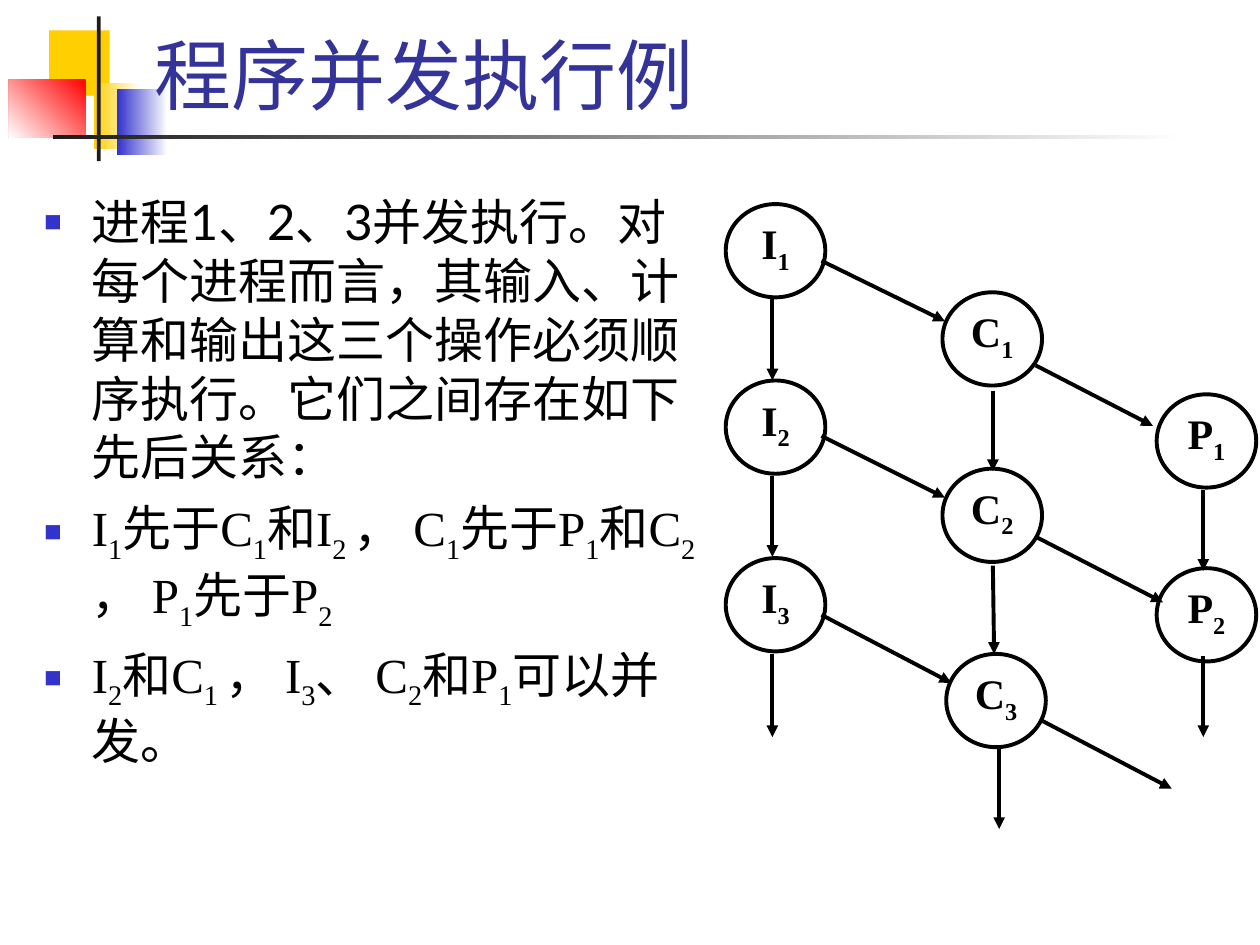
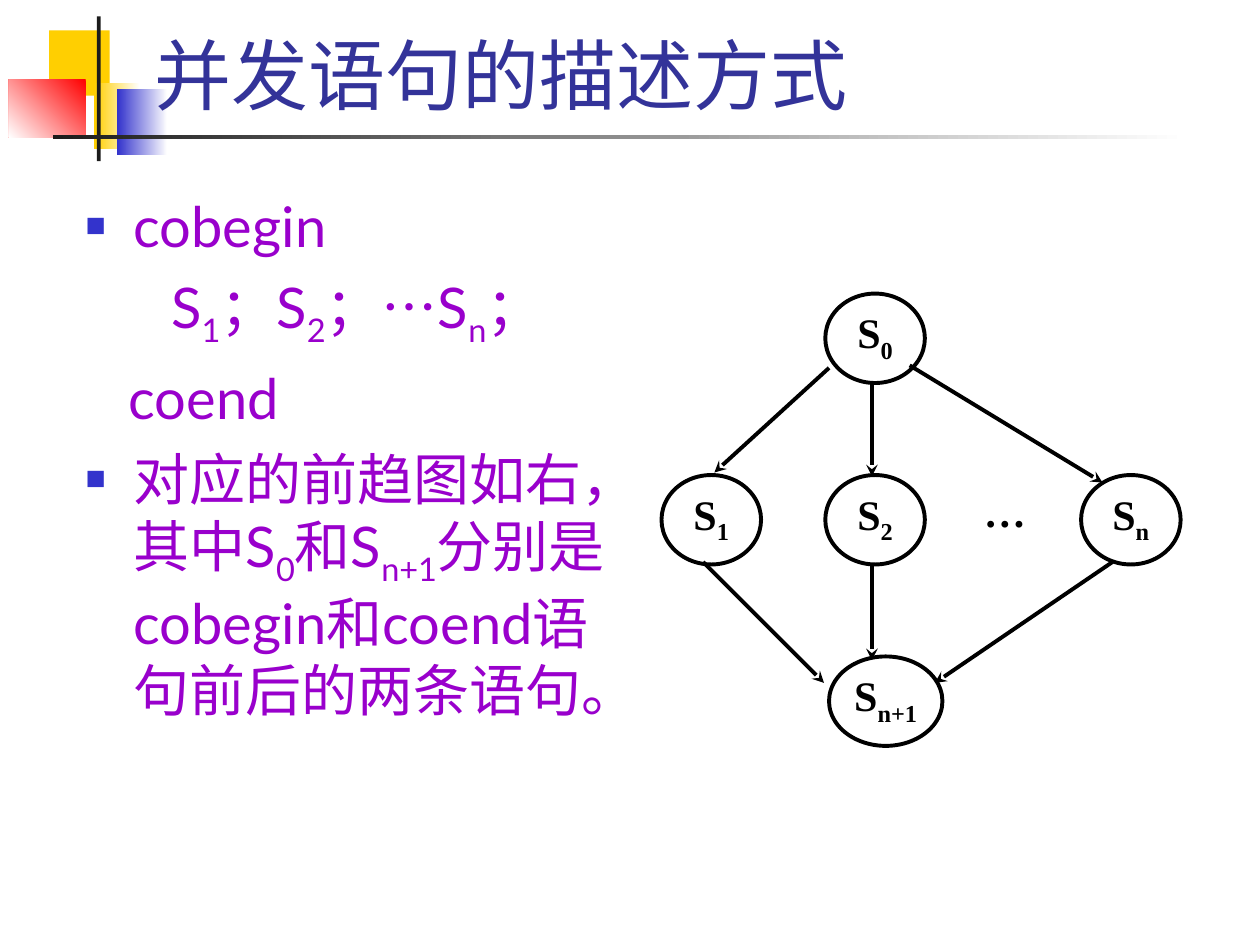
"""Build two slides on concurrent execution and precedence graphs."""
from pptx import Presentation
from pptx.dml.color import RGBColor
from pptx.enum.lang import MSO_LANGUAGE_ID
from pptx.enum.shapes import MSO_CONNECTOR, MSO_SHAPE
from pptx.enum.text import MSO_ANCHOR, MSO_AUTO_SIZE, PP_ALIGN
from pptx.oxml.ns import qn
from pptx.util import Inches, Pt
from lxml.etree import SubElement

COLORS = {"title": "333399", "text": "000000", "purple": "9900CC", "bullet": "3333CC",
          "white": "FFFFFF", "yellow": "FFCF01", "blue": "3333CC", "red": "FF0000",
          "dark": "1C1C1C"}
SANS, SERIF = "Lato", "Times New Roman"

BANDS = [
    ((0.39, 0.24, 0.48, 0.52), ["yellow"], 0),
    ((0.75, 0.66, 0.36, 0.52), ["white", "yellow"], 180),
    ((0.93, 0.71, 0.4, 0.52), ["white", "blue"], 180),
    ((0.07, 0.63, 0.61, 0.46), ["red", "white"], 225),
    ((0.77, 0.13, 0.03, 1.15), ["dark"], 0),
    ((0.42, 1.07, 9, 0.03), ["white", "dark"], 180),
]
TITLE_BOX = (1.13, 0.14, 8.52, 0.86)
NODE_W = 0.79
I_X, C_X, P_X = 6.13, 7.88, 9.55
S_X = 6.92

SLIDES = [
    {
        "title": "程序并发执行例",
        "body_box": (0.25, 1.47, 5.38, 5.67),
        "body": {"size": 28, "color": "text", "before": 7},
        "lines": [
            ("进程1、2、3并发执行。对每个进程而言，其输入、计算和输出这三个操作必须顺序执行。"
             "它们之间存在如下先后关系：", SANS, None),
            ("I{1}先于C{1}和I{2 }， C{1}先于P{1}和C{2 }， P{1}先于P{2}", SERIF, None),
            ("I{2}和C{1 }， I{3}、 C{2}和P{1}可以并发。", SERIF, None),
        ],
        "node_h": 0.74,
        "nodes": [("I{1}", 5.76, 1.62), ("I{2}", 5.76, 3.02), ("I{3}", 5.76, 4.43),
                  ("C{1}", 7.48, 2.32), ("C{2}", 7.48, 3.72), ("C{3}", 7.51, 5.19),
                  ("P{1}", 9.18, 3.13), ("P{2}", 9.18, 4.51)],
        "head": "triangle",
        "arrows": [
            (6.52, 2.07, 7.5, 2.55), (6.52, 3.46, 7.5, 3.95), (6.52, 4.88, 7.55, 5.42),
            (I_X, 2.37, I_X, 3.02), (I_X, 3.78, I_X, 4.42), (I_X, 5.19, I_X, 5.85),
            (C_X, 3.1, C_X, 3.74), (C_X, 4.49, 7.89, 5.19), (7.93, 5.94, 7.93, 6.58),
            (8.22, 2.9, 9.15, 3.38), (8.22, 4.26, 9.23, 4.78), (8.27, 5.72, 9.3, 6.26),
            (P_X, 3.89, P_X, 4.53), (P_X, 5.21, P_X, 5.85),
        ],
    },
    {
        "title": "并发语句的描述方式",
        "body_box": (0.58, 1.47, 4.37, 5.12),
        "body": {"size": 32, "color": "purple", "before": 8},
        "lines": [
            ("cobegin", SANS, None),
            ("S{1}；S{2}；…S{n}；", SANS, 0.68),
            ("coend", SANS, 0.34),
            ("对应的前趋图如右，其中S{0}和S{n+1}分别是cobegin和coend语句前后的两条语句。",
             SANS, None),
        ],
        "node_h": 0.71,
        "nodes": [("S{0}", 6.55, 2.33), ("S{1}", 5.25, 3.77), ("S{2}", 6.55, 3.77),
                  ("…", 7.58, 3.75), ("S{n}", 8.58, 3.77), ("S{n+1}", 6.58, 5.21, 0.9)],
        "head": "stealth",
        "arrows": [
            (7.22, 2.9, 8.75, 3.83), (6.58, 2.92, 5.67, 3.75), (S_X, 3.05, S_X, 3.78),
            (5.58, 4.46, 6.54, 5.42), (S_X, 4.47, S_X, 5.24), (8.83, 4.46, 7.42, 5.42),
        ],
    },
]


def rgb(name):
    return RGBColor.from_string(COLORS[name])


def apply(obj, values):
    for key, value in values.items():
        setattr(obj, key, value)


def place(sp, box):
    apply(sp, dict(zip(("left", "top", "width", "height"), map(Inches, box))))


def add_runs(p, text, font, color):
    for i, part in enumerate(text.replace("{", "|").replace("}", "|").split("|")):
        if not part:
            continue
        r = p.add_run()
        r.text = part
        apply(r.font, font)
        r.font.color.rgb = rgb(color)
        if i % 2:
            r.font._element.set("baseline", "-25000")


def add_bands(s, layout):
    for i, (box, names, angle) in enumerate(BANDS):
        sp = s.shapes.add_shape(MSO_SHAPE.RECTANGLE, *map(Inches, box))
        sp.shadow.inherit = False
        sp.line.fill.background()
        if len(names) == 1:
            sp.fill.solid()
            sp.fill.fore_color.rgb = rgb(names[0])
        else:
            sp.fill.gradient()
            sp.fill.gradient_angle = angle
            for stop, name, pos in zip(sp.fill.gradient_stops, names, (0, 1)):
                stop.color.rgb = rgb(name)
                stop.position = pos
        sp.element.nvSpPr.cNvPr.set("id", str(100 + i))
        layout.shapes.element.insert(2 + i, sp.element)


def set_bullet(p, indent):
    pPr = p._p.get_or_add_pPr()
    bulleted = indent is None
    pPr.set("marL", str(Inches(0.38 if bulleted else indent)))
    pPr.set("indent", str(Inches(-0.38 if bulleted else 0)))
    if bulleted:
        color = SubElement(pPr, qn("a:buClr"))
        SubElement(color, qn("a:srgbClr"), val=COLORS["bullet"])
        SubElement(pPr, qn("a:buSzPct"), val="60000")
        SubElement(pPr, qn("a:buChar"), char="■")
    else:
        SubElement(pPr, qn("a:buNone"))


def fill_body(sp, slide):
    place(sp, slide["body_box"])
    tf, style = sp.text_frame, slide["body"]
    apply(tf, {"word_wrap": True, "auto_size": MSO_AUTO_SIZE.NONE})
    for i, (text, name, indent) in enumerate(slide["lines"]):
        p = tf.add_paragraph() if i else tf.paragraphs[0]
        set_bullet(p, indent)
        p.space_before = Pt(style["before"] if i else 0)
        add_runs(p, text, {"name": name, "size": Pt(style["size"]),
                           "language_id": MSO_LANGUAGE_ID.SIMPLIFIED_CHINESE}, style["color"])


def add_node(s, text, x, y, h, w=NODE_W):
    sp = s.shapes.add_shape(MSO_SHAPE.OVAL, *map(Inches, (x, y, w, h)))
    sp.shadow.inherit = False
    if text == "…":
        sp.fill.background()
        sp.line.fill.background()
    else:
        sp.fill.solid()
        sp.fill.fore_color.rgb = rgb("white")
        sp.line.color.rgb = rgb("text")
        sp.line.width = Pt(2.25)
    tf = sp.text_frame
    apply(tf, {"margin_left": 0, "margin_right": 0, "margin_top": 0, "margin_bottom": 0,
               "vertical_anchor": MSO_ANCHOR.TOP})
    p = tf.paragraphs[0]
    p.alignment = PP_ALIGN.CENTER
    add_runs(p, text, {"name": SERIF, "size": Pt(24), "bold": True}, "text")


def add_arrow(s, ends, head):
    line = s.shapes.add_connector(MSO_CONNECTOR.STRAIGHT, *map(Inches, ends))
    line.line.color.rgb = rgb("text")
    line.line.width = Pt(2.25)
    SubElement(line.line._get_or_add_ln(), qn("a:tailEnd"), type=head)
    SubElement(line.element.spPr, qn("a:effectLst"))


def main():
    prs = Presentation()
    apply(prs, {"slide_width": Inches(10), "slide_height": Inches(7.5)})
    layout = prs.slide_layouts[1]
    place(layout.placeholders[0], TITLE_BOX)
    layout.placeholders[0].text_frame.vertical_anchor = MSO_ANCHOR.BOTTOM
    for i, slide in enumerate(SLIDES):
        s = prs.slides.add_slide(layout)
        if i == 0:
            add_bands(s, layout)
        tf = s.shapes.title.text_frame
        tf.auto_size = MSO_AUTO_SIZE.NONE
        p = tf.paragraphs[0]
        p.alignment = PP_ALIGN.LEFT
        add_runs(p, slide["title"], {"name": SANS, "size": Pt(44),
                 "language_id": MSO_LANGUAGE_ID.SIMPLIFIED_CHINESE}, "title")
        fill_body(s.placeholders[1], slide)
        for text, x, y, *w in slide["nodes"]:
            add_node(s, text, x, y, slide["node_h"], *w)
        for ends in slide["arrows"]:
            add_arrow(s, ends, slide["head"])
    prs.save("out.pptx")


if __name__ == "__main__":
    main()
